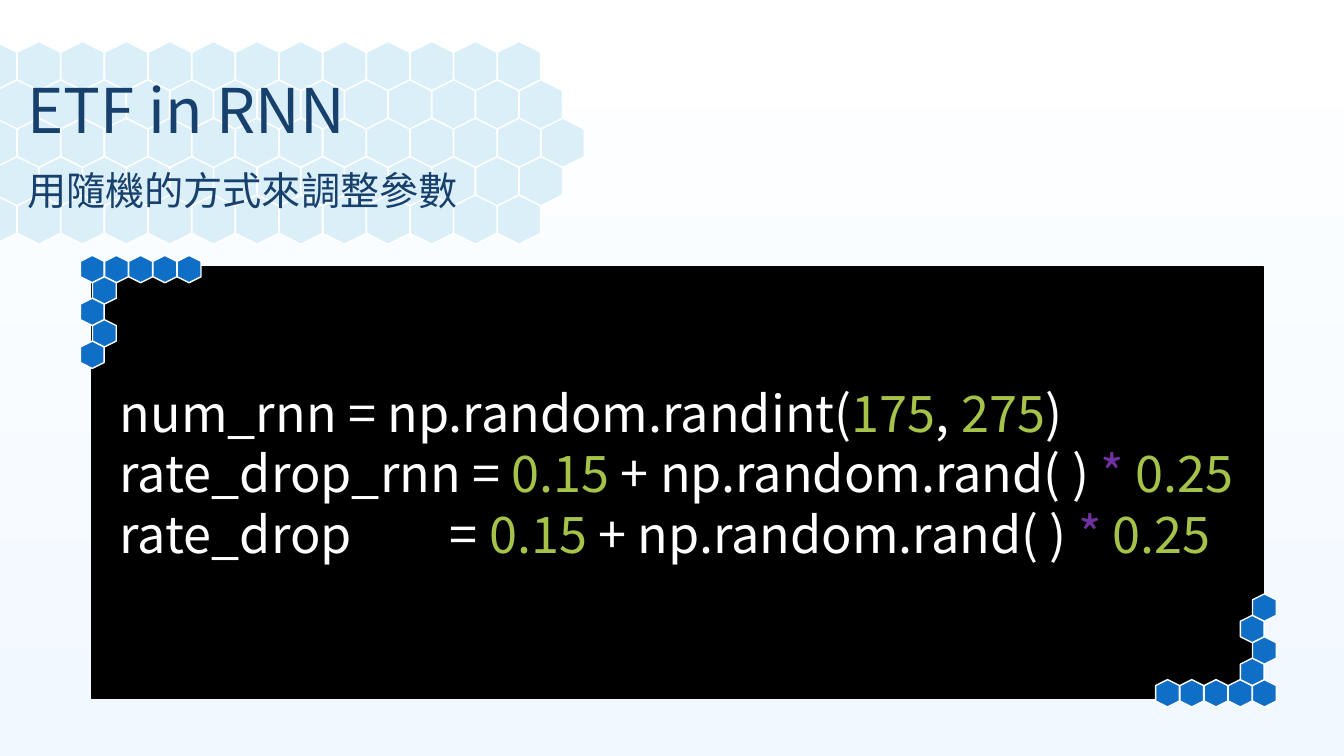
import pptx
import pptx.util
import pptx.dml.color
import pptx.enum.shapes
import pptx.enum.text
import pptx.oxml.ns
import lxml.etree

Cm = pptx.util.Cm
Pt = pptx.util.Pt
FONT = "Noto Sans CJK SC"
NAVY, BLUE, PALE = "17406D", "0F6FC6", "DBEFF9"
WHITE, BLACK, GREEN, PURPLE = "FFFFFF", "000000", "A5C249", "7030A0"
CODE = [
    [("num_rnn = np.random.randint(", WHITE), ("175", GREEN), (", ", WHITE),
     ("275", GREEN), (")", WHITE)],
    [("rate_drop_rnn = ", WHITE), ("0.15", GREEN), (" + np.random.rand( ) ", WHITE),
     ("* ", PURPLE), ("0.25", GREEN)],
    [("rate_drop\t=", WHITE), (" 0.15 ", GREEN), ("+ np.random.rand( ) ", WHITE),
     ("* ", PURPLE), ("0.25", GREEN)],
]


def color(text):
    return pptx.dml.color.RGBColor.from_string(text)


def child(node, tag, **attrs):
    return lxml.etree.SubElement(node, pptx.oxml.ns.qn(tag), attrs)


def write(para, text, size=36, fill=WHITE):
    run = para.add_run()
    run.text = text
    run.font.name = FONT
    run.font.size = Pt(size)
    run.font.color.rgb = color(fill)
    child(run.font._element, "a:ea", typeface=FONT)


def draw(group, kind, box, fill, edge, turn=0):
    shape = group.shapes.add_shape(kind, *[Cm(v) for v in box])
    shape.shadow.inherit = False
    shape.rotation = turn
    shape.fill.solid()
    shape.fill.fore_color.rgb = color(fill)
    shape.line.color.rgb = color(edge)
    shape.line.width = Pt(1)


def hexes(group, cells, start, size, fill, sign=1):
    left, top = start
    wide, high = size
    for row, col in cells:
        across = (col + row % 2 / 2) * (high + 0.01)
        down = row * (wide - high / 4)
        box = (left + sign * across, top + sign * down, wide, high)
        draw(group, pptx.enum.shapes.MSO_SHAPE.HEXAGON, box, fill, WHITE, 180 - 90 * sign)


def label(shape, box, text, size):
    shape.left, shape.top, shape.width, shape.height = [Cm(v) for v in box]
    frame = shape.text_frame
    frame.auto_size = pptx.enum.text.MSO_AUTO_SIZE.NONE
    frame.vertical_anchor = pptx.enum.text.MSO_ANCHOR.MIDDLE
    para = frame.paragraphs[0]
    para.alignment = pptx.enum.text.PP_ALIGN.LEFT
    para.line_spacing = 0.9
    para.space_before = Pt(0)
    props = para._p.get_or_add_pPr()
    props.set("marL", "0")
    props.set("indent", "0")
    child(props, "a:buNone")
    write(para, text, size, NAVY)
    shape._element.getparent().append(shape._element)


def header(slide, box):
    left, top, wide, high = box
    group = slide.shapes.add_group_shape()
    cells = [(row, col) for row in range(5) for col in range(14 if row == 2 else 13)]
    hexes(group, cells, (left - 0.74, top), (1.24, 1.09), PALE)
    label(slide.shapes.title, (left + 0.43, top + 0.58, wide, 2.34), "ETF in RNN", 44)
    label(slide.placeholders[1], (left + 0.43, top + 2.92, wide, 1.63),
          "用隨機的方式來調整參數", 28)


def panel(slide, box):
    left, top, wide, high = box
    group = slide.shapes.add_group_shape()
    draw(group, pptx.enum.shapes.MSO_SHAPE.RECTANGLE, box, BLACK, BLACK)
    cells = [(0, col) for col in range(5)] + [(row, 0) for row in range(1, 5)]
    size = (0.69, 0.6)
    hexes(group, cells, (left - 0.33, top - 0.25), size, BLUE)
    hexes(group, cells, (left + wide - 0.33, top + high - 0.43), size, BLUE, -1)

    frame = slide.shapes.add_textbox(
        Cm(left + 0.46), Cm(top + 2.77), Cm(wide - 0.76), Cm(4.88)).text_frame
    frame.word_wrap = True
    for index, line in enumerate(CODE):
        para = frame.add_paragraph() if index else frame.paragraphs[0]
        tabs = child(para._p.get_or_add_pPr(), "a:tabLst")
        child(tabs, "a:tab", pos=str(Cm(8.32)), algn="l")
        for text, fill in line:
            write(para, text, fill=fill)


def main():
    deck = pptx.Presentation()
    deck.slide_width, deck.slide_height = Cm(33.87), Cm(19.05)
    slide = deck.slides.add_slide(deck.slide_layouts[1])
    back = slide.background.fill
    back.gradient()
    back.gradient_angle = 270
    for stop, fill in zip(back.gradient_stops, (WHITE, "F1F8FE")):
        stop.color.rgb = color(fill)
    header(slide, (0, 1.12, 16.5, 5.1))
    panel(slide, (2.31, 6.73, 29.54, 10.87))
    deck.save("out.pptx")


if __name__ == "__main__":
    main()
